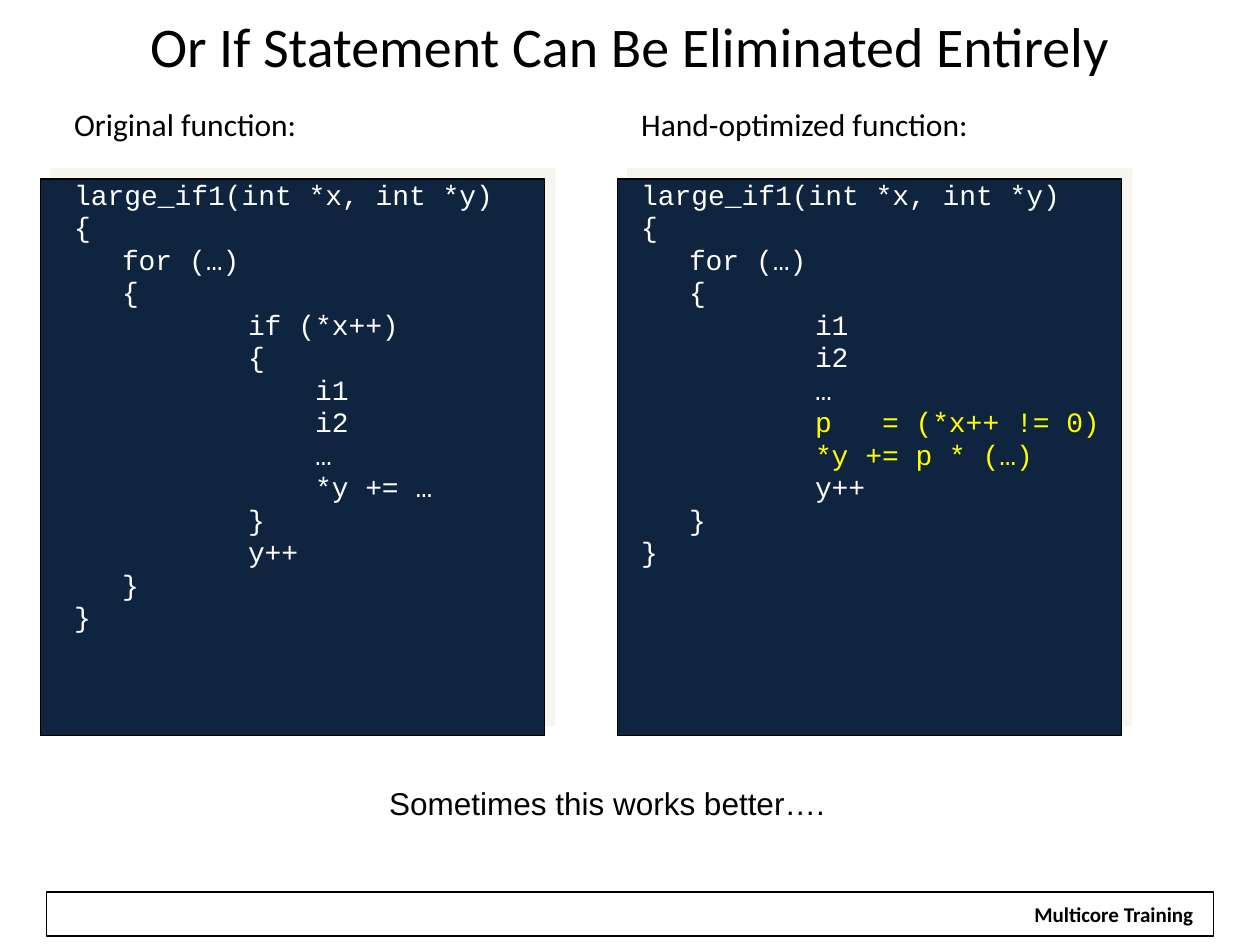
"""Build the slide that compares an if statement with its branch-free version."""
import lxml.etree
import pptx
import pptx.dml.color
import pptx.enum.shapes
import pptx.enum.text
import pptx.oxml.ns
import pptx.util

Inches = pptx.util.Inches
Pt = pptx.util.Pt
ALIGN = pptx.enum.text.PP_ALIGN
ANCHOR = pptx.enum.text.MSO_ANCHOR

BLACK = pptx.dml.color.RGBColor(0x00, 0x00, 0x00)
WHITE = pptx.dml.color.RGBColor(0xFF, 0xFF, 0xFF)
NAVY = pptx.dml.color.RGBColor(0x0F, 0x24, 0x3E)
CREAM = pptx.dml.color.RGBColor(0xEE, 0xEC, 0xE1)
YELLOW = pptx.dml.color.RGBColor(0xFF, 0xFF, 0x00)

ORIGINAL_CODE = """large_if1(int *x, int *y)
{
\tfor (…)
\t{
\t\tif (*x++)
\t\t{
\t\t    i1
\t\t    i2
\t\t    …
\t\t    *y += …
\t\t}
\t\ty++
\t}
}"""

OPTIMIZED_CODE = """large_if1(int *x, int *y)
{
\tfor (…)
\t{
\t\ti1
\t\ti2
\t\t…
\t\tp   = (*x++ != 0)
\t\t*y += p * (…)
\t\ty++
\t}
}"""

OPTIMIZED_LINES = {"p   = (*x++ != 0)", "*y += p * (…)"}


def add_run(paragraph, text, size, font, color=BLACK, bold=False):
    run = paragraph.add_run()
    run.text = text
    run.font.size = Pt(size)
    run.font.name = font
    run.font.color.rgb = color
    run.font.bold = bold


def add_rectangle(slide, left, top, width, height, fill=None, outlined=True):
    rectangle = slide.shapes.add_shape(
        pptx.enum.shapes.MSO_SHAPE.RECTANGLE,
        Inches(left), Inches(top), Inches(width), Inches(height))
    rectangle.shadow.inherit = False
    if fill is None:
        rectangle.fill.background()
    else:
        rectangle.fill.solid()
        rectangle.fill.fore_color.rgb = fill
    if outlined:
        rectangle.line.color.rgb = BLACK
        rectangle.line.width = Pt(0.75)
    else:
        rectangle.line.fill.background()
    return rectangle


def cast_shadow(panel):
    qn = pptx.oxml.ns.qn
    effects = panel._element.spPr.find(qn("a:effectLst"))
    shadow = lxml.etree.SubElement(
        effects, qn("a:outerShdw"), dist=str(Pt(8.5)), dir=str(315 * 60000),
        algn="ctr", rotWithShape="0")
    tint = lxml.etree.SubElement(shadow, qn("a:srgbClr"), val=str(CREAM))
    lxml.etree.SubElement(tint, qn("a:alpha"), val="50000")


def add_text_box(slide, left, top, width, height, wrap=True):
    box = slide.shapes.add_textbox(
        Inches(left), Inches(top), Inches(width), Inches(height))
    box.text_frame.word_wrap = wrap
    return box.text_frame


def format_listing_line(paragraph, space_before=0):
    properties = paragraph._p.get_or_add_pPr()
    properties.set("marL", str(Inches(0.38)))
    properties.set("indent", str(-Inches(0.38)))
    properties.set("defTabSz", str(Inches(1)))
    paragraph.line_spacing = 0.8
    if space_before:
        paragraph.space_before = Pt(space_before)


def add_listing(slide, left, heading, code):
    frame = add_text_box(slide, left, 0.84, 4.42, 4.95)
    caption = frame.paragraphs[0]
    format_listing_line(caption)
    add_run(caption, heading, 18, "Calibri")
    for number, line in enumerate(code.splitlines()):
        paragraph = frame.add_paragraph()
        format_listing_line(paragraph, 3.2 if number else 23.7)
        color = YELLOW if line.strip() in OPTIMIZED_LINES else WHITE
        add_run(paragraph, line, 16, "Courier New", color)


def add_title(slide, text):
    frame = add_text_box(slide, 0, 0, 10, 0.71)
    frame.vertical_anchor = ANCHOR.MIDDLE
    frame.paragraphs[0].alignment = ALIGN.CENTER
    add_run(frame.paragraphs[0], text, 32, "Calibri")


def add_footer(slide, text):
    add_rectangle(slide, 0.37, 7.08, 9.26, 0.35)
    label = add_rectangle(slide, 8.1, 7.11, 1.48, 0.3, WHITE, outlined=False)
    frame = label.text_frame
    frame.word_wrap = False
    frame.vertical_anchor = ANCHOR.TOP
    frame.paragraphs[0].alignment = ALIGN.CENTER
    add_run(frame.paragraphs[0], text, 12, "Calibri", bold=True)


def main():
    deck = pptx.Presentation()
    deck.slide_width, deck.slide_height = Inches(10), Inches(7.5)
    slide = deck.slides.add_slide(deck.slide_layouts[6])

    add_footer(slide, "Multicore Training")
    for panel_left in (4.9, 0.32):
        cast_shadow(add_rectangle(slide, panel_left, 1.42, 4, 4.42, NAVY))
    add_title(slide, "Or If Statement Can Be Eliminated Entirely")
    add_listing(slide, 0.49, "Original function:", ORIGINAL_CODE)
    add_listing(slide, 4.99, "Hand-optimized function:", OPTIMIZED_CODE)
    remark = add_text_box(slide, 2.99, 6.17, 3.66, 0.4, wrap=False)
    add_run(remark.paragraphs[0], "Sometimes this works better….", 18, "Arial")

    deck.save("out.pptx")


if __name__ == "__main__":
    main()
